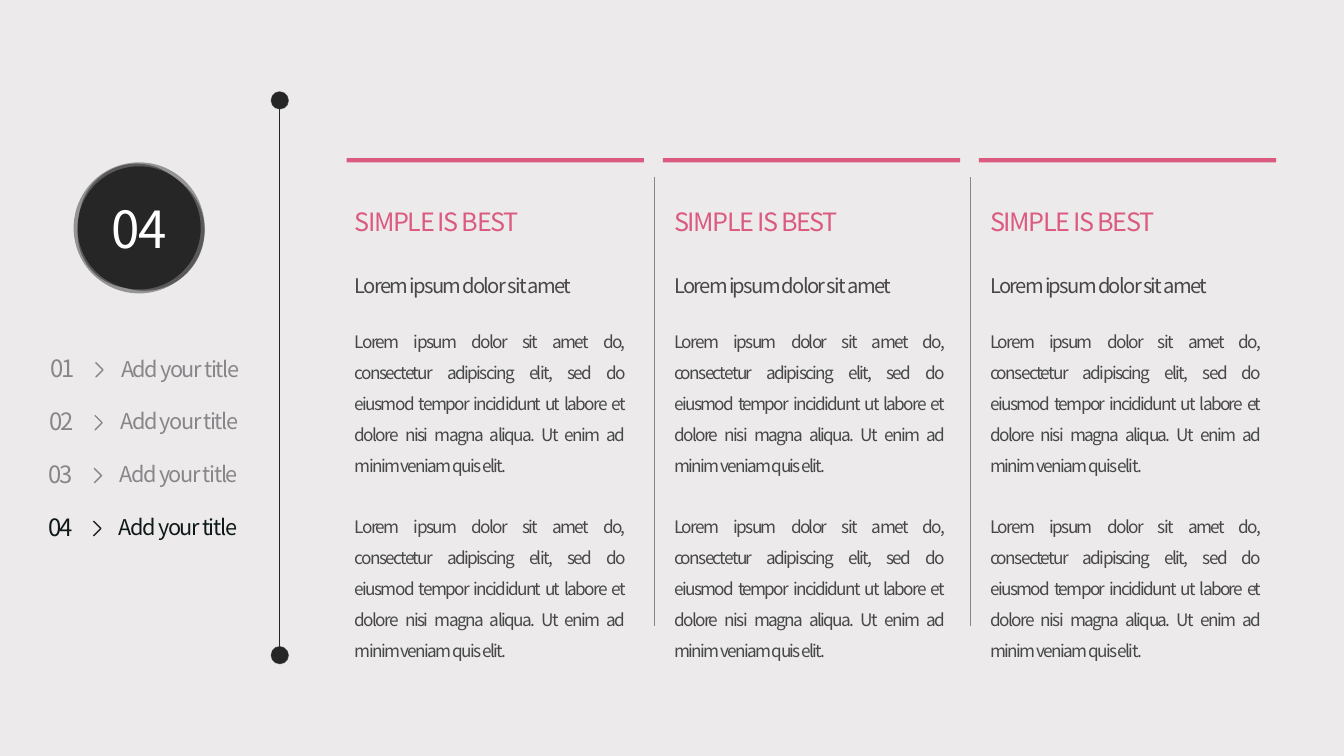
"""Build a chapter slide with a numbered menu and three text columns."""
from dataclasses import dataclass

from lxml import etree
from pptx import Presentation
from pptx.dml.color import RGBColor
from pptx.enum import shapes, text
from pptx.oxml.ns import qn
from pptx.util import Pt


@dataclass(frozen=True)
class Theme:
    font: str = "Noto Sans CJK KR"
    background: str = "ECEAEB"
    dark: str = "262626"
    rim: str = "404040"
    muted: str = "888688"
    active: str = "101919"
    accent: str = "DB5A7F"
    body: str = "484848"
    white: str = "FFFFFF"
    chapter_size: float = 36.5
    heading_size: float = 18
    number_size: float = 17
    menu_size: float = 15.5
    lead_size: float = 14.4
    body_size: float = 12.3


@dataclass(frozen=True)
class Layer:
    left: float
    top: float
    diameter: float
    opacity: int


@dataclass(frozen=True)
class Column:
    text_left: float
    heading: str
    lead: str
    paragraphs: tuple[str, ...]


THEME = Theme()
LOREM = ("Lorem ipsum dolor sit amet do, consectetur adipiscing elit, sed do eiusmod "
         "tempor incididunt ut labore et dolore nisi magna aliqua. Ut enim ad minim "
         "veniam quis elit.")
COLUMNS = [Column(left, "SIMPLE IS BEST", "Lorem ipsum dolor sit amet", (LOREM, LOREM))
           for left in (246.3, 474.5, 700.3)]
MENU = [(f"{number:02}", "Add your title") for number in range(1, 5)]
ACTIVE_ITEM = 3
DISC_LAYERS = [Layer(0, 0, 1, 50), Layer(0.08, 0.06, 0.92, 70), Layer(0.04, 0.01, 0.88, 70),
               Layer(0.03, 0.13, 0.83, 70), Layer(0.03, 0.03, 0.94, 100)]


def color(value: str) -> RGBColor:
    """Turn a hex string into a colour."""
    return RGBColor.from_string(value)


def add_alpha(parent, opacity: int) -> None:
    """Set the opacity of the first colour inside an element."""
    target = next(parent.iter(qn("a:srgbClr")))
    etree.SubElement(target, qn("a:alpha")).set("val", str(opacity * 1000))


def write_text(frame, paragraphs, *, size: float, fill: str, spacing: float,
               align=text.PP_ALIGN.LEFT, anchor=text.MSO_ANCHOR.TOP, line_spacing=1.0,
               before: float = 0, gap: float = 0, wrap: bool = True,
               outlined: bool = True) -> None:
    """Fill a text frame with equally formatted paragraphs."""
    frame.word_wrap = wrap
    frame.auto_size = text.MSO_AUTO_SIZE.NONE
    frame.vertical_anchor = anchor
    for index, content in enumerate(paragraphs):
        paragraph = frame.add_paragraph() if index else frame.paragraphs[0]
        paragraph.alignment = align
        paragraph.line_spacing = line_spacing
        paragraph.space_before = Pt(gap if index else before)
        run = paragraph.add_run()
        run.text = content
        run.font.name = THEME.font
        run.font.size = Pt(size)
        run.font.color.rgb = color(fill)
        properties = run._r.get_or_add_rPr()
        properties.set("spc", str(round(spacing * 100)))
        if outlined:
            outline = etree.Element(qn("a:ln"), w=str(Pt(0.75)))
            solid = etree.SubElement(outline, qn("a:solidFill"))
            etree.SubElement(solid, qn("a:srgbClr")).set("val", fill)
            add_alpha(outline, 30)
            properties.insert(0, outline)


def add_text(slide, left: float, top: float, width: float, height: float,
             *paragraphs: str, **text_format) -> None:
    """Add a text box."""
    box = slide.shapes.add_textbox(Pt(left), Pt(top), Pt(width), Pt(height))
    write_text(box.text_frame, paragraphs, **text_format)


def add_shape(container, kind, left: float, top: float, width: float, height: float, *,
              fill: str | None = None, line: str | None = None, opacity: int = 100):
    """Add a preset shape without a shadow."""
    shape = container.shapes.add_shape(kind, Pt(left), Pt(top), Pt(width), Pt(height))
    shape.shadow.inherit = False
    if fill:
        shape.fill.solid()
        shape.fill.fore_color.rgb = color(fill)
        if opacity < 100:
            add_alpha(shape._element.spPr, opacity)
    else:
        shape.fill.background()
    if line:
        shape.line.color.rgb = color(line)
        shape.line.width = Pt(1)
    else:
        shape.line.fill.background()
    return shape


def add_vertical(slide, x: float, top: float, bottom: float, line: str,
                 oval_ends: bool = False) -> None:
    """Add a thin vertical line."""
    connector = slide.shapes.add_connector(shapes.MSO_CONNECTOR.STRAIGHT,
                                           Pt(x), Pt(top), Pt(x), Pt(bottom))
    connector.line.color.rgb = color(line)
    connector.line.width = Pt(0.5)
    if oval_ends:
        for end in ("a:headEnd", "a:tailEnd"):
            etree.SubElement(connector.line._get_or_add_ln(), qn(end)).set("type", "oval")
    etree.SubElement(connector._element.spPr, qn("a:effectLst"))


def add_disc(slide, left: float, top: float, diameter: float) -> None:
    """Add a dark disc with a layered translucent rim."""
    group = slide.shapes.add_group_shape()
    for layer in DISC_LAYERS:
        size = layer.diameter * diameter
        add_shape(group, shapes.MSO_SHAPE.OVAL, left + layer.left * diameter,
                  top + layer.top * diameter, size, size, opacity=layer.opacity,
                  fill=THEME.dark if layer.opacity == 100 else THEME.rim)


def add_menu_item(slide, index: int, number: str, label: str) -> None:
    """Add one menu row with its number, chevron and label."""
    active = index == ACTIVE_ITEM
    drift, drop = -0.5 * index, 37.75 * index
    chevron = add_shape(slide, shapes.MSO_SHAPE.HALF_FRAME, 64.8 + drift, 260.6 + drop, 7.2, 7.2,
                        fill=THEME.dark if active else None,
                        line=THEME.dark if active else THEME.muted)
    chevron.adjustments[0] = chevron.adjustments[1] = 0
    chevron.rotation = 135
    shared = dict(fill=THEME.active if active else THEME.muted, line_spacing=0.9, before=10,
                  anchor=text.MSO_ANCHOR.MIDDLE)
    add_text(slide, 28.8 + drift, 250 + drop, 41.8, 28.8, number,
             size=THEME.number_size, spacing=-1.5, **shared)
    add_text(slide, 79.4 + drift, 250 + drop, 120, 28.8, label,
             size=THEME.menu_size, spacing=-1, **shared)


def add_column(slide, index: int, column: Column) -> None:
    """Add one column with its bar, divider and texts."""
    left = column.text_left
    add_shape(slide, shapes.MSO_SHAPE.RECTANGLE, 247.6 + 225.8 * index, 113, 212.4, 3,
              fill=THEME.accent)
    if index:
        add_vertical(slide, left - 7.2, 126.7, 447.1, THEME.muted)
    add_text(slide, left, 144, 134.6, 28.8, column.heading, size=THEME.heading_size,
             fill=THEME.accent, spacing=-1, wrap=False)
    shared = dict(fill=THEME.body, spacing=-1.2, align=text.PP_ALIGN.JUSTIFY, line_spacing=1.5)
    add_text(slide, left, 184.3, 206.6, 31, column.lead, size=THEME.lead_size,
             anchor=text.MSO_ANCHOR.MIDDLE, **shared)
    add_text(slide, left, 225.4, 206.6, 213, *column.paragraphs, size=THEME.body_size,
             gap=22.1, **shared)


def main() -> None:
    """Build and save the presentation."""
    presentation = Presentation()
    presentation.slide_width, presentation.slide_height = Pt(960), Pt(540)
    slide = presentation.slides.add_slide(presentation.slide_layouts[5])
    slide.background.fill.solid()
    slide.background.fill.fore_color.rgb = color(THEME.background)

    add_vertical(slide, 199.5, 72.7, 468.7, THEME.dark, oval_ends=True)
    for top in (65.2, 461.5):
        add_disc(slide, 193.3, top, 13)
    add_disc(slide, 52.6, 116, 93.6)

    title = slide.shapes.title
    title.left, title.top, title.width, title.height = Pt(71.3), Pt(148.3), Pt(56.2), Pt(34.6)
    write_text(title.text_frame, ["04"], size=THEME.chapter_size, fill=THEME.white, spacing=-1.5,
               align=text.PP_ALIGN.CENTER, anchor=text.MSO_ANCHOR.MIDDLE, line_spacing=0.9,
               outlined=False)
    title._element.getparent().append(title._element)

    for index, (number, label) in enumerate(MENU):
        add_menu_item(slide, index, number, label)
    for index, column in enumerate(COLUMNS):
        add_column(slide, index, column)
    presentation.save("out.pptx")


main()
